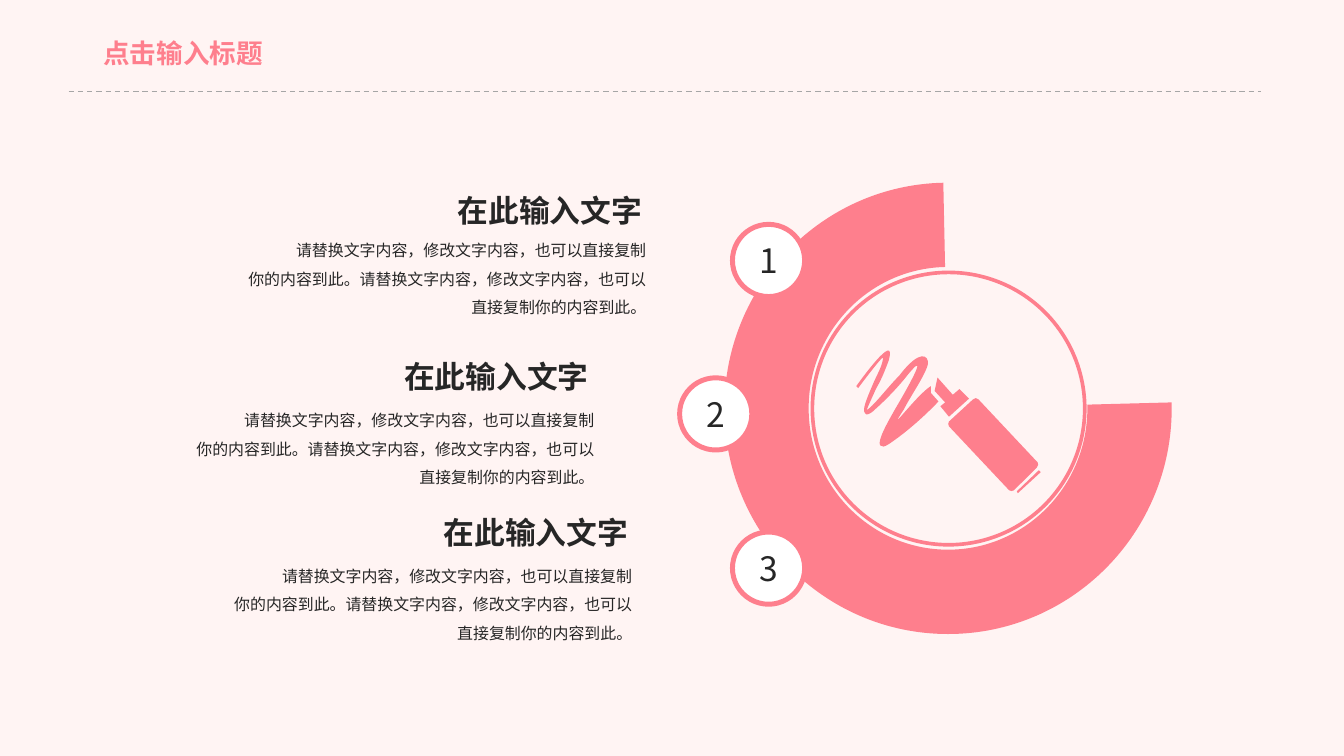
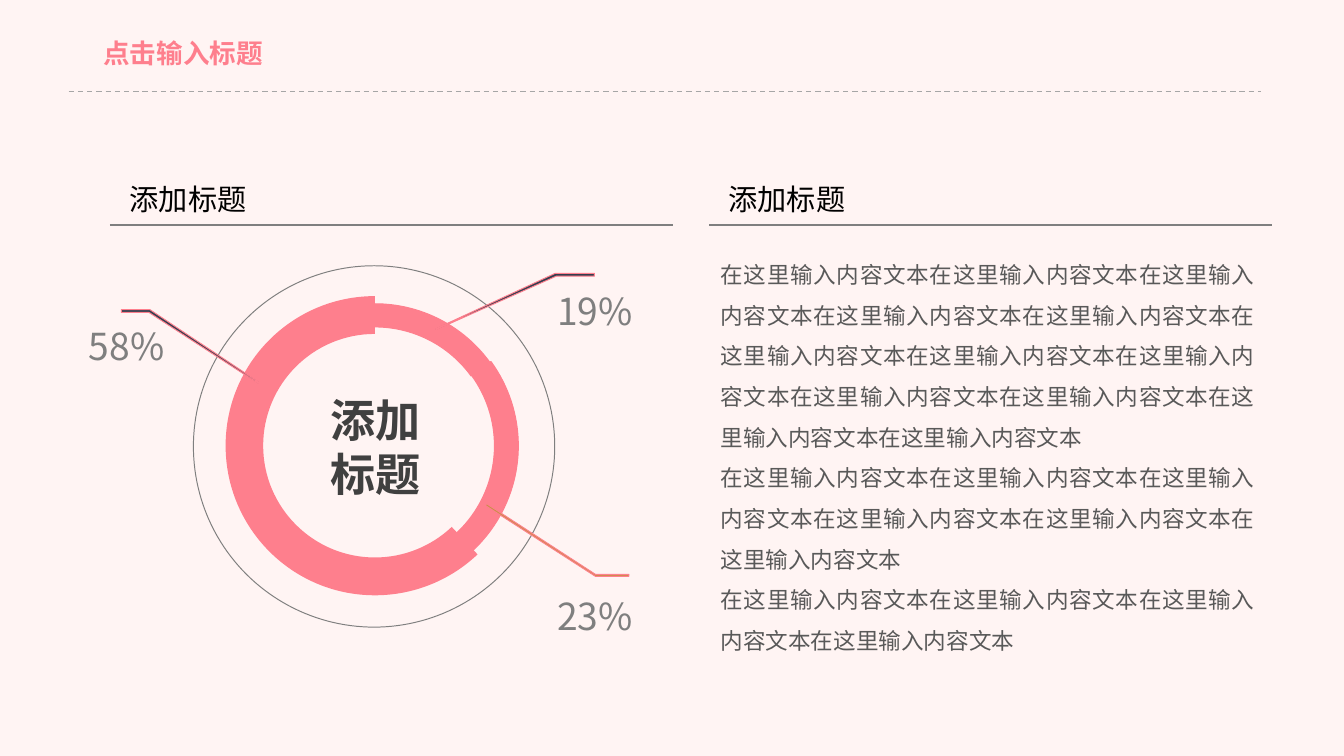
"""Build two pink slides: a numbered ring of topics and a ring chart with callouts."""
from dataclasses import dataclass
from itertools import chain, pairwise
from math import cos, radians, sin, tan
from typing import NamedTuple, Optional

from lxml.etree import SubElement
from pptx import Presentation
from pptx.dml.color import RGBColor
from pptx.enum.dml import MSO_LINE
from pptx.enum.shapes import MSO_CONNECTOR, MSO_SHAPE
from pptx.enum.text import MSO_ANCHOR, MSO_AUTO_SIZE, PP_ALIGN
from pptx.oxml.ns import qn
from pptx.util import Pt

FONT = "Noto Sans CJK SC"
COLOURS = {
    "background": "FFF4F3", "pink": "FE7F8D", "white": "FFFFFF", "black": "000000",
    "ink": "262626", "charcoal": "404040", "text": "595959", "grey": "7F7F7F",
    "rule": "A6A6A6", "navy": "333F50", "ochre": "CA8F45",
}
TITLE_ONLY = 5
TITLE = "点击输入标题"
TOPIC_HEADING = "在此输入文字"
TOPIC_BODY = "请替换文字内容，修改文字内容，也可以直接复制你的内容到此。" * 2
PANEL_HEADING = "添加标题"
PHRASE = "在这里输入内容文本"
PHRASE_COUNTS = (12, 6, 4)
NARROW = (7.2, 3.6)
WIDE = (10, 5)
BADGE_SIZE = 54.4
GRID = 100

Point = tuple[float, float]
Stroke = tuple[float, ...]


class Box(NamedTuple):
    left: float
    top: float
    width: float
    height: float


@dataclass(frozen=True)
class TextStyle:
    size: float
    colour: str
    bold: bool = False
    align: PP_ALIGN = PP_ALIGN.LEFT
    spacing: Optional[float] = None
    indent: float = 0


@dataclass(frozen=True)
class Topic:
    heading: Point
    body: Point
    badge: Point


@dataclass(frozen=True)
class Sector:
    outer: Point
    inner: Point
    start: float
    end: float
    outlined: bool


@dataclass(frozen=True)
class Callout:
    outline: list[Stroke]
    fill: str
    label: str
    label_at: Point


TITLE_STYLE = TextStyle(20, "pink", bold=True)
TOPIC_STYLE = TextStyle(23.2, "ink", bold=True)
TOPIC_BODY_STYLE = TextStyle(12, "ink", align=PP_ALIGN.RIGHT, spacing=1.5, indent=35.3)
BADGE_STYLE = TextStyle(25.3, "ink", align=PP_ALIGN.CENTER)
PANEL_STYLE = TextStyle(22, "black")
PANEL_BODY_STYLE = TextStyle(17, "text", align=PP_ALIGN.JUSTIFY, spacing=1.5)
PERCENT_STYLE = TextStyle(28, "grey", align=PP_ALIGN.CENTER)
CENTRE_STYLE = TextStyle(34, "charcoal", bold=True)

TOPICS = [
    Topic((337.7, 141.1), (173.7, 170.4), (551.8, 169)),
    Topic((297.4, 265.7), (134.6, 298.5), (512, 284.6)),
    Topic((327.3, 383.5), (163.1, 415.9), (551.8, 400.8)),
]
TOPIC_CENTRE = (714.2, 307.6)
TOPIC_SECTOR = Sector((168.5, 170), (105, 106.5), -1.5, 268.8, False)

CHART_CENTRE = (282.5, 335.8)
CHART_SECTORS = [
    Sector((108, 108), (90, 90), -36, 57, True),
    Sector((107, 107), (89.5, 89.5), -92, -36, True),
    Sector((112.5, 112.7), (84.2, 84.2), 46.6, 270, False),
]
CALLOUTS = [
    Callout([(328.3, 248.4), (328.3, 247.7), (418.3, 205.9), (447.8, 205.9),
             (447.8, 208.1), (419, 208.1)], "navy", "19%", (408.6, 212.4)),
    Callout([(473.8, 434.2), (448.6, 434.2), (365.8, 380.9), (366.5, 379.4),
             (448.6, 432.7), (473.8, 432.7)], "ochre", "23%", (408.6, 442.1)),
    Callout([(194.4, 288.7), (112.3, 235.4), (91.4, 235.4), (91.4, 233.3),
             (113, 233.3), (195.1, 288)], "navy", "58%", (55.8, 238.3)),
]

ICON_ORIGIN = (645.1, 247)
ICON_SCALE = 0.72
SCRIBBLE = [
    (0, 61), (0, 61, 43, 0, 34, 34), (31, 42, 27, 53, 21, 63), (16, 74, 11, 85, 11, 86),
    (11, 86, 13, 85, 17, 81), (25, 73, 35, 60, 45, 50), (67, 21, 76, 29, 75, 38),
    (72, 50, 57, 71, 50, 85), (29, 117, 63, 70, 78, 61), (78, 68), (86, 77),
    (86, 77, 63, 102, 35, 121), (29, 125, 27, 125, 25, 123), (22, 118, 32, 100, 43, 81),
    (56, 59, 79, 17, 50, 54), (40, 66, 29, 77, 20, 85), (14, 91, 10, 92, 9, 89),
    (6, 86, 11, 74, 17, 60), (21, 50, 27, 41, 28, 32), (31, 24, 2, 63, 2, 63),
]
PEN_BODY = [
    (97, 98), (122, 75), (124, 73, 126, 73, 128, 75), (190, 141),
    (191, 142, 190, 145, 189, 146), (165, 170), (164, 171, 161, 171, 160, 170),
    (97, 103), (96, 102, 96, 99, 97, 98),
]
PEN_TIP = [(85, 52), (82, 66), (93, 78), (88, 82), (97, 93), (118, 74), (108, 64), (101, 70)]
PEN_END = [(168, 171), (169, 173), (193, 151), (191, 149)]


def colour(name: str) -> RGBColor:
    """Return a palette colour."""
    return RGBColor.from_string(COLOURS[name])


def points(box: Box) -> list:
    """Return the four box lengths in points."""
    return [Pt(value) for value in box]


def paint(shape, fill: Optional[str], line: Optional[str] = None, weight: float = 0.75) -> None:
    """Set fill, outline and shadow of a shape."""
    shape.shadow.inherit = False
    if fill:
        shape.fill.solid()
        shape.fill.fore_color.rgb = colour(fill)
    else:
        shape.fill.background()
    if line:
        shape.line.color.rgb = colour(line)
        shape.line.width = Pt(weight)
    else:
        shape.line.fill.background()


def write(frame, lines: list[str], style: TextStyle) -> None:
    """Write one styled paragraph per line."""
    for index, line in enumerate(lines):
        para = frame.add_paragraph() if index else frame.paragraphs[0]
        para.alignment = style.align
        if style.spacing:
            para.line_spacing = style.spacing
        if style.indent:
            para._p.get_or_add_pPr().set("indent", str(Pt(style.indent)))
        span = para.add_run()
        span.text = line
        span.font.size = Pt(style.size)
        span.font.bold = style.bold
        span.font.color.rgb = colour(style.colour)
        span.font.name = FONT
        SubElement(span._r.get_or_add_rPr(), qn("a:ea")).set("typeface", FONT)


def set_frame(frame, margins: Point, wrap: bool) -> None:
    """Set margins, wrapping and growth of a text frame."""
    frame.margin_left = frame.margin_right = Pt(margins[0])
    frame.margin_top = frame.margin_bottom = Pt(margins[1])
    frame.word_wrap = wrap
    frame.auto_size = MSO_AUTO_SIZE.SHAPE_TO_FIT_TEXT
    frame.vertical_anchor = MSO_ANCHOR.TOP


def add_text(page, box: Box, lines: list[str], style: TextStyle,
             margins: Point = WIDE, wrap: bool = False) -> None:
    """Add a text box."""
    frame = page.shapes.add_textbox(*points(box)).text_frame
    set_frame(frame, margins, wrap)
    write(frame, lines, style)


def add_rule(page, left: float, right: float, top: float, line: str, weight: float,
             dashed: bool = False) -> None:
    """Add a horizontal rule."""
    rule = page.shapes.add_connector(MSO_CONNECTOR.STRAIGHT, Pt(left), Pt(top), Pt(right), Pt(top))
    rule.line.color.rgb = colour(line)
    rule.line.width = Pt(weight)
    if dashed:
        rule.line.dash_style = MSO_LINE.DASH
    SubElement(rule._element.spPr, qn("a:effectLst"))


def add_ellipse(page, box: Box, fill: Optional[str], line: str, weight: float):
    """Add an ellipse."""
    ellipse = page.shapes.add_shape(MSO_SHAPE.OVAL, *points(box))
    paint(ellipse, fill, line, weight)
    return ellipse


def add_outline(page, contours: list[list[Stroke]], fill: str, line: Optional[str] = None) -> None:
    """Add a freeform of closed contours made of lines and cubic curves."""
    grid = [[tuple(round(value * GRID) for value in stroke) for stroke in contour]
            for contour in contours]
    builder = page.shapes.build_freeform(*grid[0][0], scale=Pt(1) / GRID)
    for index, contour in enumerate(grid):
        if index:
            builder.move_to(*contour[0])
        builder.add_line_segments([stroke[-2:] for stroke in contour[1:]])
    outline = builder.convert_to_shape()
    strokes = list(chain.from_iterable(grid))
    left = min(stroke[-2] for stroke in strokes)
    top = min(stroke[-1] for stroke in strokes)
    segments = list(outline._element.iter(qn("a:moveTo"), qn("a:lnTo")))
    for segment, stroke in zip(segments, strokes):
        if len(stroke) == 6:
            segment.clear()
            segment.tag = qn("a:cubicBezTo")
            for x, y in zip(stroke[::2], stroke[1::2]):
                SubElement(segment, qn("a:pt"), x=str(x - left), y=str(y - top))
    paint(outline, fill, line)


def arc(centre: Point, radii: Point, start: float, end: float) -> list[Stroke]:
    """Return an arc as a start point and one cubic curve per quadrant."""
    low, high = sorted((start, end))
    stops = [low, *(turn for turn in range(-360, 361, 90) if low < turn < high), high]
    if start > end:
        stops.reverse()

    def place(angle: float) -> Point:
        """Return the point at an angle."""
        return centre[0] + radii[0] * cos(angle), centre[1] + radii[1] * sin(angle)

    strokes: list[Stroke] = [place(radians(start))]
    for first, last in pairwise(map(radians, stops)):
        pull = 4 / 3 * tan((last - first) / 4)
        (x1, y1), (x2, y2) = place(first), place(last)
        strokes.append((x1 - pull * radii[0] * sin(first), y1 + pull * radii[1] * cos(first),
                        x2 + pull * radii[0] * sin(last), y2 - pull * radii[1] * cos(last),
                        x2, y2))
    return strokes


def add_sector(page, centre: Point, sector: Sector) -> None:
    """Add a ring sector."""
    contour = arc(centre, sector.outer, sector.start, sector.end)
    contour += arc(centre, sector.inner, sector.end, sector.start)
    add_outline(page, [contour], "pink", "pink" if sector.outlined else None)


def place_icon(strokes: list[Stroke]) -> list[Stroke]:
    """Move icon strokes to their place on the page."""
    return [tuple(ICON_ORIGIN[index % 2] + value * ICON_SCALE
                  for index, value in enumerate(stroke)) for stroke in strokes]


def add_page(deck):
    """Add a page with the shared title and dashed rule."""
    page = deck.slides.add_slide(deck.slide_layouts[TITLE_ONLY])
    title = page.shapes.title
    title.left, title.top, title.width, title.height = points(Box(69.9, 24.2, 136.8, 31.7))
    set_frame(title.text_frame, (7.9, 3.6), False)
    write(title.text_frame, [TITLE], TITLE_STYLE)
    add_rule(page, 51.8, 949.7, 69, "rule", 1, dashed=True)
    return page


def build_topics(deck) -> None:
    """Build the page with three numbered topics around a ring."""
    page = add_page(deck)
    add_sector(page, TOPIC_CENTRE, TOPIC_SECTOR)
    add_ellipse(page, Box(612, 205.2, 205.2, 205.2), None, "pink", 2.75)
    add_outline(page, [place_icon(part) for part in (SCRIBBLE, PEN_BODY, PEN_TIP, PEN_END)], "pink")
    for number, topic in enumerate(TOPICS, 1):
        badge = add_ellipse(page, Box(*topic.badge, BADGE_SIZE, BADGE_SIZE), "white", "pink", 3.75)
        badge.text_frame.vertical_anchor = MSO_ANCHOR.MIDDLE
        write(badge.text_frame, [str(number)], BADGE_STYLE)
        add_text(page, Box(*topic.heading, 172, 35.3), [TOPIC_HEADING], TOPIC_STYLE, NARROW, True)
        add_text(page, Box(*topic.body, 320.4, 72.7), [TOPIC_BODY], TOPIC_BODY_STYLE, NARROW, True)


def build_chart(deck) -> None:
    """Build the page with a ring chart, callouts and text."""
    page = add_page(deck)
    for sector in CHART_SECTORS:
        add_sector(page, CHART_CENTRE, sector)
    add_ellipse(page, Box(145.7, 200.2, 272.2, 272.2), None, "grey", 0)
    for callout in CALLOUTS:
        add_outline(page, [callout.outline], callout.fill, "pink")
        add_text(page, Box(*callout.label_at, 79.2, 44.6), [callout.label], PERCENT_STYLE)
    for rule_left, heading_left in ((82.8, 87.8), (534.2, 538.9)):
        add_rule(page, rule_left, rule_left + 424.1, 169.4, "grey", 1.25)
        add_text(page, Box(heading_left, 131.8, 111.6, 37.4), [PANEL_HEADING], PANEL_STYLE)
    add_text(page, Box(532.8, 181.5, 422.7, 316.8), [PHRASE * count for count in PHRASE_COUNTS],
             PANEL_BODY_STYLE, wrap=True)
    add_text(page, Box(239, 290.5, 88.6, 92.2), ["添加", "标题"], CENTRE_STYLE)


def main() -> None:
    """Build and save the deck."""
    deck = Presentation()
    deck.slide_width, deck.slide_height = Pt(1012.5), Pt(569.5)
    background = deck.slide_master.background.fill
    background.solid()
    background.fore_color.rgb = colour("background")
    build_topics(deck)
    build_chart(deck)
    deck.save("out.pptx")


if __name__ == "__main__":
    main()
